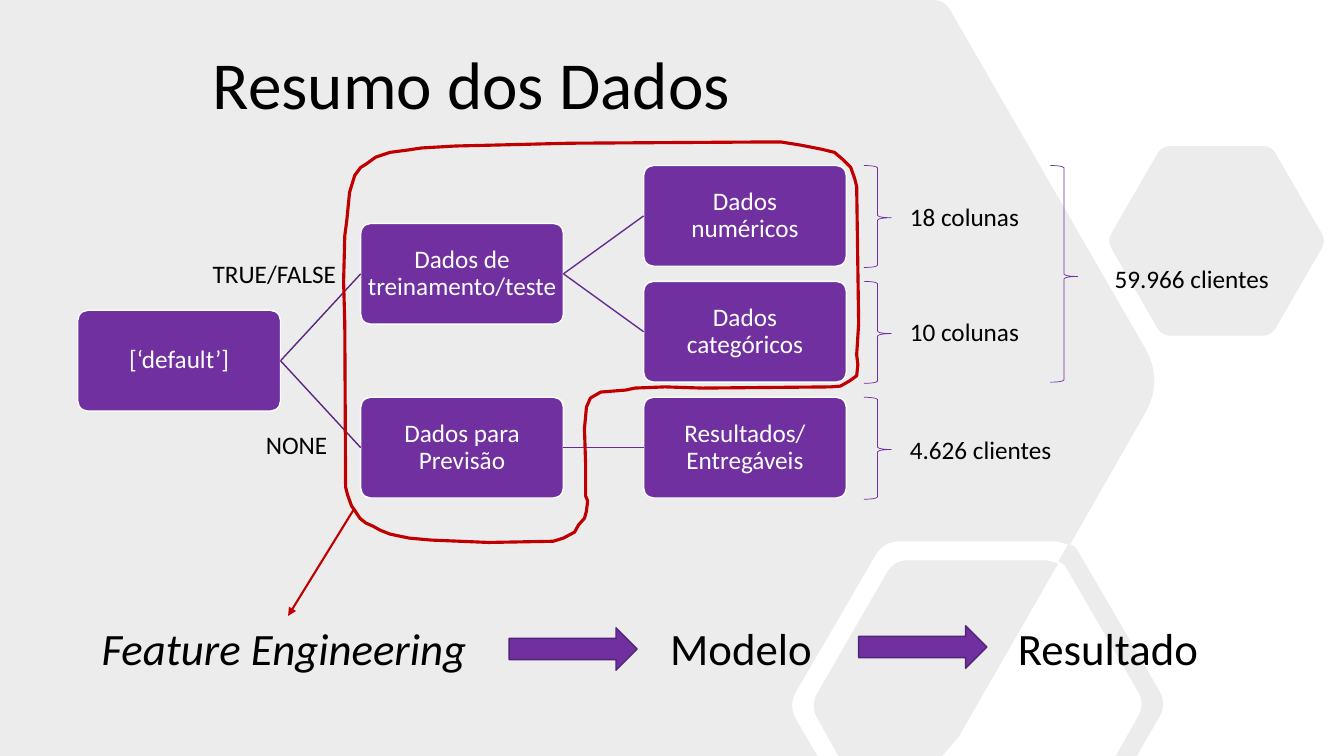
from dataclasses import dataclass
from math import hypot

from lxml import etree
from pptx import Presentation
from pptx import util as u
from pptx.dml.color import RGBColor
from pptx.enum import shapes, text
from pptx.oxml.ns import qn


@dataclass(frozen=True)
class Theme:
    font: str = "Calibri"
    purple: str = "7030A0"
    first_link: str = "5A2680"
    second_link: str = "662C91"
    arrow_edge: str = "532476"
    red: str = "C00000"
    grey: str = "808080"
    white: str = "FFFFFF"
    black: str = "000000"
    title: int = 48
    step: int = 32
    label: int = 18


@dataclass(frozen=True)
class Node:
    words: str
    column: int
    row: float


@dataclass(frozen=True)
class Label:
    words: str
    left: float
    top: float
    width: float
    size: int = Theme.label
    italic: bool = False


@dataclass(frozen=True)
class Brace:
    left: float
    row: int
    height: float = 2.57


THEME = Theme()
FIRST_LEFT, COLUMN_STEP = 1.96, 7.13
FIRST_TOP, ROW_STEP = 4.17, 2.92
BOX_WIDTH, BOX_HEIGHT = 5.11, 2.54

NODES = {
    "default": Node("[‘default’]", 0, 1.25),
    "training": Node("Dados de treinamento/teste", 1, 0.5),
    "numeric": Node("Dados\nnuméricos", 2, 0),
    "category": Node("Dados\ncategóricos", 2, 1),
    "forecast": Node("Dados para Previsão", 1, 2),
    "results": Node("Resultados/\nEntregáveis", 2, 2),
}
LINKS = [("default", "training"), ("default", "forecast"), ("training", "numeric"),
         ("training", "category"), ("forecast", "results")]
BRACES = [Brace(21.77, 0), Brace(21.77, 1), Brace(21.77, 2), Brace(26.47, 0, 5.46)]
LABELS = [
    Label("TRUE/FALSE", 5.11, 6.38, 3.89),
    Label("NONE", 6.45, 10.69, 2.21),
    Label("18 colunas", 22.68, 4.95, 3.28),
    Label("10 colunas", 22.68, 7.85, 3.45),
    Label("59.966 clientes", 27.84, 6.5, 4.67),
    Label("4.626 clientes", 22.68, 10.82, 4.72),
    Label("Feature Engineering", 2.31, 15.52, 9.91, THEME.step, True),
    Label("Modelo", 16.64, 15.52, 4.45, THEME.step),
    Label("Resultado", 25.4, 15.52, 5.26, THEME.step),
]
STEP_ARROWS = [(12.83, 15.82), (21.64, 15.77)]

# Background outlines: x, y and the length cut off each side of the corner
BACKDROP = [
    [(0, 0, 0), (23.8, 0, 0.3), (29.33, 9.59, 0.95), (26.97, 13.72, 0),
     (27.1, 13.77, 0.1), (29.41, 17.74, 0.39), (28.65, 19.05, 0), (28.12, 19.05, 0),
     (28.86, 17.74, 0.37), (26.82, 14.22, 0.1), (26.67, 14.15, 0), (26.92, 13.72, 0),
     (26.62, 13.64, 0), (22.27, 13.64, 0.41), (19.86, 17.78, 0.41),
     (20.6, 19.05, 0), (0, 19.05, 0)],
    [(29.28, 3.68, 0.23), (32.04, 3.68, 0.23), (33.42, 6.07, 0.23),
     (32.04, 8.46, 0.23), (29.28, 8.46, 0.23), (27.9, 6.07, 0.23)],
    [(22.53, 14.12, 0.36), (26.39, 14.12, 0), (26.67, 14.2, 0), (24.16, 18.57, 0),
     (23.75, 19.05, 0), (21.13, 19.05, 0), (20.42, 17.78, 0.36)],
]

# Hand-drawn loop around the data used for feature engineering
LOOP = [
    (9.09, 4.22), (8.94, 4.42), (8.81, 4.85), (8.74, 5.56), (8.69, 5.94), (8.66, 7.09),
    (8.69, 8.15), (8.71, 12.27), (8.76, 12.47), (8.86, 12.75), (8.92, 12.83),
    (9.07, 13.06), (9.22, 13.18), (9.4, 13.26), (9.58, 13.36), (9.83, 13.46),
    (10.31, 13.56), (10.87, 13.61), (12.32, 13.67), (13.94, 13.64), (14.2, 13.56),
    (14.48, 13.41), (14.58, 13.23), (14.73, 13.06), (14.78, 12.88), (14.81, 12.62),
    (14.76, 12.5), (14.76, 11.73), (14.73, 10.8), (14.78, 10.26), (14.88, 10.03),
    (15.14, 9.88), (15.77, 9.83), (16, 9.78), (16.76, 9.75), (17.7, 9.78),
    (20.93, 9.75), (21.18, 9.73), (21.41, 9.6), (21.59, 9.47), (21.62, 9.19),
    (21.59, 8.94), (21.64, 8.15), (21.62, 6.78), (21.59, 4.7), (21.54, 4.5),
    (21.44, 4.22), (21.23, 4.01), (21.03, 3.84), (20.7, 3.76), (20.19, 3.66),
    (19.69, 3.58), (19.05, 3.58), (14.35, 3.61), (12.34, 3.66), (11.48, 3.68),
    (10.62, 3.73), (10.29, 3.78), (9.83, 3.84), (9.47, 3.96), (9.22, 4.14),
]


def paint(shape, fill: str | None, line: str | None, width: float = 1) -> None:
    shape.shadow.inherit = False
    if fill:
        shape.fill.solid()
        shape.fill.fore_color.rgb = RGBColor.from_string(fill)
    else:
        shape.fill.background()
    if line:
        shape.line.color.rgb = RGBColor.from_string(line)
        shape.line.width = u.Pt(width)
    else:
        shape.line.fill.background()


def write(frame, words: str, size: int, color: str, frame_format: dict,
          para_format: dict, italic: bool = False) -> None:
    for name, value in frame_format.items():
        setattr(frame, name, value)
    para = frame.paragraphs[0]
    para.text = words
    for name, value in para_format.items():
        setattr(para, name, value)
    for span in para.runs:
        span_format = {"name": THEME.font, "size": u.Pt(size), "italic": italic}
        for name, value in span_format.items():
            setattr(span.font, name, value)
        span.font.color.rgb = RGBColor.from_string(color)


def round_corners(corners: list) -> list:
    points = []
    for index, (x, y, cut) in enumerate(corners):
        if not cut:
            points.append((x, y))
            continue
        ends = []
        for other in (corners[index - 1], corners[(index + 1) % len(corners)]):
            share = cut / hypot(other[0] - x, other[1] - y)
            ends.append((x + (other[0] - x) * share, y + (other[1] - y) * share))
        for t in (step / 8 for step in range(9)):
            points.append(tuple((1 - t) ** 2 * a + 2 * t * (1 - t) * b + t * t * c
                                for a, b, c in zip(ends[0], (x, y), ends[1])))
    return points


def draw_outline(page, contours: list):
    contours = [[(u.Cm(x), u.Cm(y)) for x, y in contour] for contour in contours]
    builder = page.shapes.build_freeform(*contours[0][0])
    for contour in contours:
        builder.move_to(*contour[0])
        builder.add_line_segments(contour[1:], close=True)
    return builder.convert_to_shape()


def draw_shape(page, kind, left: float, top: float, width: float, height: float):
    return page.shapes.add_shape(kind, u.Cm(left), u.Cm(top), u.Cm(width), u.Cm(height))


def draw_node(page, node: Node):
    box = draw_shape(page, shapes.MSO_SHAPE.ROUNDED_RECTANGLE,
                     FIRST_LEFT + node.column * COLUMN_STEP,
                     FIRST_TOP + node.row * ROW_STEP, BOX_WIDTH, BOX_HEIGHT)
    box.adjustments[0] = 0.1
    paint(box, THEME.purple, THEME.white)
    margins = {f"margin_{side}": u.Cm(0.03) for side in ("left", "top", "right", "bottom")}
    write(box.text_frame, node.words, THEME.label, THEME.white,
          {"word_wrap": True, "vertical_anchor": text.MSO_ANCHOR.MIDDLE, **margins},
          {"alignment": text.PP_ALIGN.CENTER, "line_spacing": 0.9})
    return box


def draw_line(page, start: tuple, end: tuple, color: str, width: float):
    line = page.shapes.add_connector(shapes.MSO_CONNECTOR.STRAIGHT,
                                     *(u.Cm(value) for value in start + end))
    line.line.color.rgb = RGBColor.from_string(color)
    line.line.width = u.Pt(width)
    etree.SubElement(line.element.spPr, qn("a:effectLst"))
    return line


def draw_brace(page, brace: Brace) -> None:
    shape = draw_shape(page, shapes.MSO_SHAPE.LEFT_BRACE, brace.left,
                       FIRST_TOP + brace.row * ROW_STEP, 0.69, brace.height)
    shape.rotation = 180
    shape.adjustments[0], shape.adjustments[1] = 0.083, 0.488
    paint(shape, None, THEME.purple, 0.5)


def draw_label(page, label: Label) -> None:
    height = 1.63 if label.size == THEME.step else 1.02
    box = page.shapes.add_textbox(u.Cm(label.left), u.Cm(label.top),
                                  u.Cm(label.width), u.Cm(height))
    write(box.text_frame, label.words, label.size, THEME.black,
          {"word_wrap": True, "margin_right": 0}, {}, label.italic)


def main() -> None:
    deck = Presentation()
    deck.slide_width, deck.slide_height = u.Cm(33.87), u.Cm(19.05)
    page = deck.slides.add_slide(deck.slide_layouts[5])

    # Translucent background, behind the title
    backdrop = draw_outline(page, [round_corners(part) for part in BACKDROP])
    paint(backdrop, THEME.grey, None)
    color = backdrop.element.spPr.find(qn("a:solidFill")).find(qn("a:srgbClr"))
    etree.SubElement(color, qn("a:alpha"), val="15000")
    page.shapes.title.element.addprevious(backdrop.element)

    # Title
    title = page.shapes.title
    place = {"left": 5.11, "top": 0.94, "width": 13.56, "height": 2.31}
    for name, value in place.items():
        setattr(title, name, u.Cm(value))
    write(title.text_frame, "Resumo dos Dados", THEME.title, THEME.black,
          {"word_wrap": True, "auto_size": text.MSO_AUTO_SIZE.NONE,
           "vertical_anchor": text.MSO_ANCHOR.TOP}, {"alignment": text.PP_ALIGN.LEFT})

    # Data tree
    boxes = {name: draw_node(page, node) for name, node in NODES.items()}
    for start, end in LINKS:
        tone = THEME.first_link if start == "default" else THEME.second_link
        link = draw_line(page, (0, 0), (1, 1), tone, 1)
        link.begin_connect(boxes[start], 3)
        link.end_connect(boxes[end], 1)

    # Braces and labels
    for brace in BRACES:
        draw_brace(page, brace)
    for label in LABELS:
        draw_label(page, label)

    # Loop and its pointer
    paint(draw_outline(page, [LOOP]), None, THEME.red, 2.25)
    pointer = draw_line(page, (8.92, 12.83), (7.26, 15.52), THEME.red, 1.5)
    etree.SubElement(pointer.line._get_or_add_ln(), qn("a:tailEnd"), type="triangle")

    # Process arrows
    for left, top in STEP_ARROWS:
        arrow = draw_shape(page, shapes.MSO_SHAPE.RIGHT_ARROW, left, top, 3.23, 1.07)
        paint(arrow, THEME.purple, THEME.arrow_edge)

    deck.save("out.pptx")


if __name__ == "__main__":
    main()
